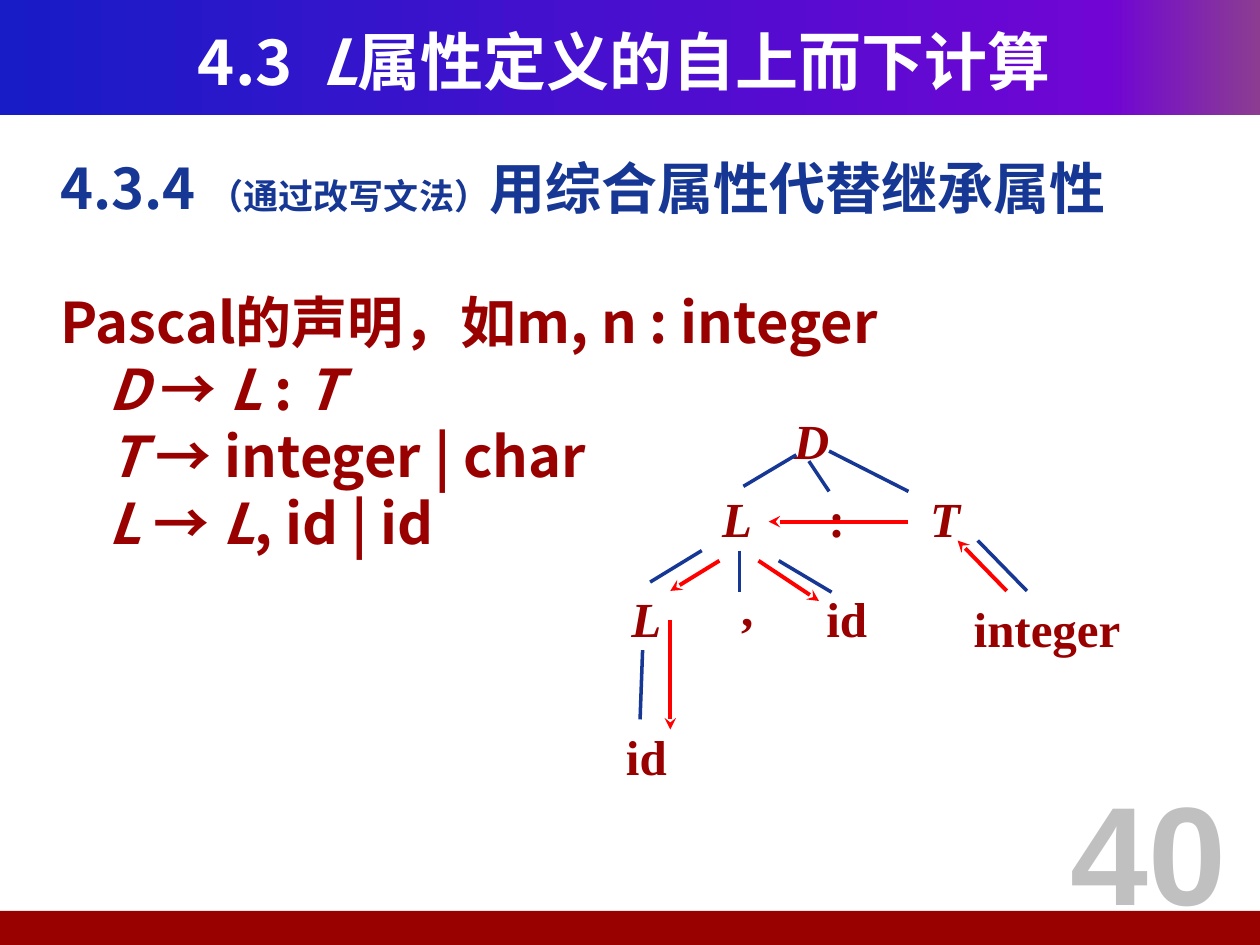
from copy import deepcopy

from lxml.etree import SubElement
from pptx import Presentation
from pptx.dml.color import RGBColor
from pptx.enum.shapes import MSO_CONNECTOR, MSO_SHAPE
from pptx.enum.text import MSO_ANCHOR, PP_ALIGN
from pptx.oxml.ns import qn
from pptx.util import Inches, Pt

SANS, SERIF, NUMBER_FONT = "Noto Sans CJK SC", "Times New Roman", "Arial"
BLUE, DARK_RED, RED, WHITE, GREY = "163794", "990000", "FF0000", "FFFFFF", "C0C0C0"
HEADER_STOPS = [(0, "181CC7"), (0.88, "7005D4"), (1, "8C3D91")]

# A run is (text, overrides of the box's format)
ITALIC = {"italic": True}
TITLE = [("4.3  ", {}), ("L", ITALIC), ("属性定义的自上而下计算", {})]
HEADING = [("4.3.4 ", {}), ("（通过改写文法）", {"size": 20}), ("用综合属性代替继承属性", {})]
EXAMPLE = [("Pascal的声明，如m, n : integer", {})]
PRODUCTIONS = [
    [("D ", ITALIC), ("→ ", {}), ("L ", ITALIC), (":", {}), (" T", ITALIC)],
    [("T ", ITALIC), ("→ integer | char", {})],
    [("L ", ITALIC), ("→ ", {}), ("L", ITALIC), (", id | id", {})],
]
LINE_PITCH = 38.3
PAGE_NUMBER = "40"

# Parse tree: label, centre x, centre y
NODES = [
    ("D", 6.44, 3.49),
    ("L", 5.85, 4.11), (":", 6.64, 4.11), ("T", 7.5, 4.11),
    ("L", 5.13, 4.9), (",", 5.93, 4.82), ("id", 6.72, 4.9), ("integer", 8.31, 4.98),
    ("id", 5.13, 6),
]
NODE_WIDTH, NODE_HEIGHT = 1.42, 0.42
EDGES = [
    ((6.32, 3.61), (5.9, 3.86)), ((6.42, 3.66), (6.58, 3.9)), ((6.58, 3.58), (7.21, 3.9)),
    ((5.57, 4.37), (5.16, 4.62)), ((5.87, 4.37), (5.87, 4.7)), ((6.18, 4.45), (6.6, 4.7)),
    ((7.76, 4.29), (8.15, 4.69)), ((5.1, 5.16), (5.08, 5.71)),
]
TYPE_FLOW = [
    ((7.99, 4.69), (7.6, 4.29)), ((7.21, 4.14), (6.1, 4.14)),
    ((5.71, 4.45), (5.32, 4.69)), ((6.02, 4.45), (6.5, 4.77)),
    ((5.32, 4.92), (5.32, 5.79)),
]


def rgb(value):
    return RGBColor.from_string(value)


def add_run(paragraph, text, font=SANS, size=32, color=DARK_RED, italic=False):
    run = paragraph.add_run()
    run.text = text
    run.font.name, run.font.size = font, Pt(size)
    run.font.bold, run.font.italic = True, italic
    run.font.color.rgb = rgb(color)
    if font == SANS:
        SubElement(run._r.get_or_add_rPr(), qn("a:ea")).set("typeface", font)


def add_text(slide, box, paragraphs, align=PP_ALIGN.LEFT, anchor=MSO_ANCHOR.TOP,
             margins=(0, 0), **text_format):
    """Each paragraph is (runs, layout); layout may set indent, before, pitch and color."""
    frame = slide.shapes.add_textbox(*map(Inches, box)).text_frame
    frame.word_wrap, frame.vertical_anchor = True, anchor
    frame.margin_left = frame.margin_right = Inches(margins[0])
    frame.margin_top = frame.margin_bottom = Inches(margins[1])
    for index, (runs, layout) in enumerate(paragraphs):
        paragraph = frame.add_paragraph() if index else frame.paragraphs[0]
        paragraph.alignment = align
        if "pitch" in layout:
            paragraph.line_spacing = Pt(layout["pitch"])
        if "before" in layout:
            paragraph.space_before = Pt(layout["before"])
        if "indent" in layout:
            paragraph._p.get_or_add_pPr().set("marL", str(Inches(layout["indent"])))
        color = {"color": layout["color"]} if "color" in layout else {}
        for text, overrides in runs:
            add_run(paragraph, text, **{**text_format, **color, **overrides})


def add_bar(slide, box):
    bar = slide.shapes.add_shape(MSO_SHAPE.RECTANGLE, *map(Inches, box))
    bar.shadow.inherit = False
    bar.line.fill.background()
    return bar


def fill_gradient(bar, stops):
    bar.fill.gradient()
    bar.fill.gradient_angle = 0
    stop_list = bar._element.spPr.find(qn("a:gradFill")).find(qn("a:gsLst"))
    while len(stop_list) < len(stops):
        stop_list.append(deepcopy(stop_list[0]))
    for stop, (position, color) in zip(bar.fill.gradient_stops, stops):
        stop.position = position
        stop.color.rgb = rgb(color)


def add_line(slide, start, end, color, width, arrow=False):
    line = slide.shapes.add_connector(MSO_CONNECTOR.STRAIGHT, *map(Inches, start + end))
    line.line.color.rgb = rgb(color)
    line.line.width = Pt(width)
    if arrow:
        SubElement(line.line._get_or_add_ln(), qn("a:tailEnd")).set("type", "stealth")
    SubElement(line._element.spPr, qn("a:effectLst"))


def main():
    deck = Presentation()
    deck.slide_width, deck.slide_height = Inches(10), Inches(7.5)
    slide = deck.slides.add_slide(deck.slide_layouts[6])

    fill_gradient(add_bar(slide, (0, 0, 10, 0.91)), HEADER_STOPS)
    footer = add_bar(slide, (-0.04, 7.23, 10.04, 0.27))
    footer.fill.solid()
    footer.fill.fore_color.rgb = rgb(DARK_RED)

    add_text(slide, (0.33, 0.17, 9.25, 0.62), [(TITLE, {})], align=PP_ALIGN.CENTER,
             anchor=MSO_ANCHOR.MIDDLE, size=36, color=WHITE)

    body = [
        (HEADING, {"pitch": LINE_PITCH, "color": BLUE}),
        (EXAMPLE, {"pitch": LINE_PITCH, "before": LINE_PITCH}),
    ]
    body += [(runs, {"pitch": LINE_PITCH, "indent": 0.38}) for runs in PRODUCTIONS]
    add_text(slide, (0.38, 1.17, 9.39, 3.3), body, margins=(0.1, 0.05))

    add_text(slide, (8.23, 6.03, 1.77, 1.42), [([(PAGE_NUMBER, {})], {})],
             align=PP_ALIGN.CENTER, margins=(0.1, 0.05),
             font=NUMBER_FONT, size=80, color=GREY)

    for label, x, y in NODES:
        box = (x - NODE_WIDTH / 2, y - NODE_HEIGHT / 2, NODE_WIDTH, NODE_HEIGHT)
        add_text(slide, box, [([(label, {})], {})], align=PP_ALIGN.CENTER,
                 anchor=MSO_ANCHOR.MIDDLE, font=SERIF, size=28,
                 italic=label in ("D", "L", "T"))

    for start, end in EDGES:
        add_line(slide, start, end, BLUE, 2)
    for start, end in TYPE_FLOW:
        add_line(slide, start, end, RED, 2.25, arrow=True)

    deck.save("out.pptx")


if __name__ == "__main__":
    main()
